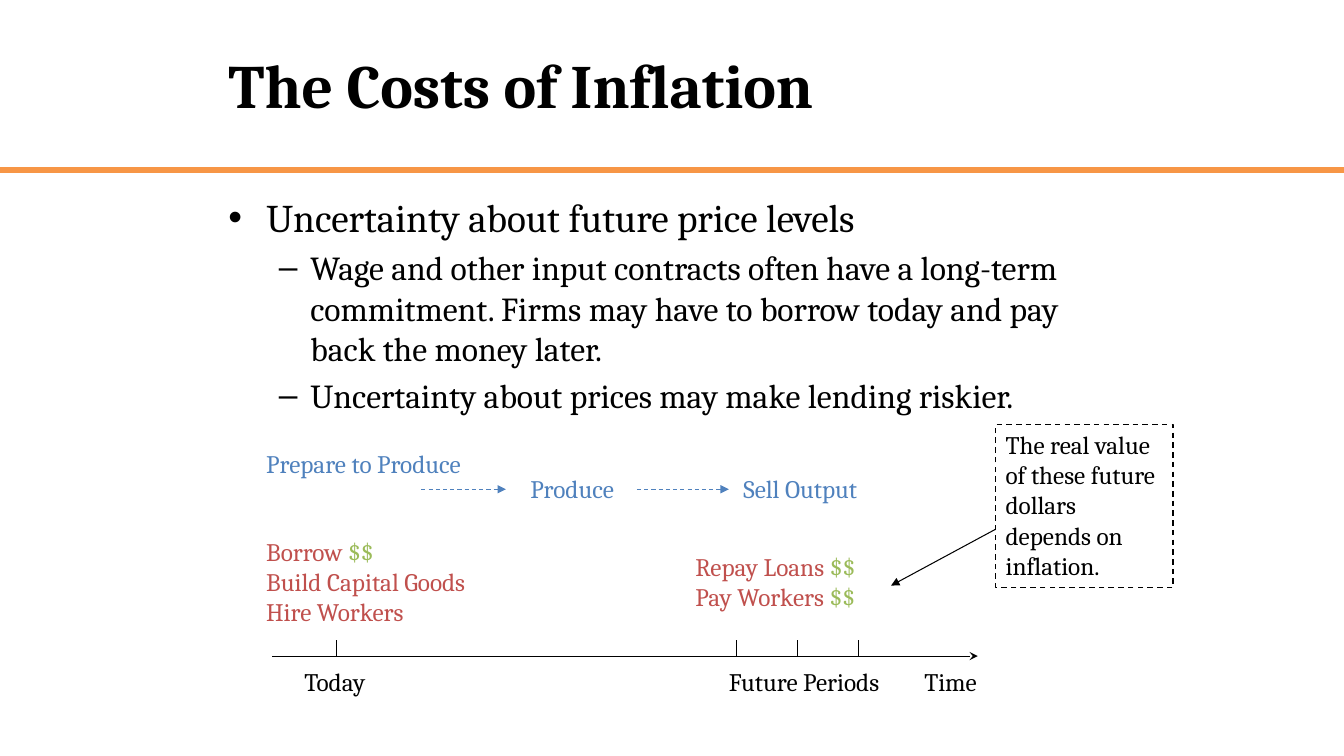
from dataclasses import dataclass

from lxml import etree
from pptx import Presentation
from pptx import util as u
from pptx.dml import color
from pptx.enum import dml, shapes, text
from pptx.oxml import ns

FONT = "Cambria"
BLACK, WHITE, ORANGE = "000000", "FFFFFF", "F79646"
BLUE, RED, GREEN = "4F81BD", "C0504D", "9BBB59"
AXIS_Y = 468.6
TICK_TOP = 457.4


@dataclass
class Label:
    x: float
    y: float
    w: float
    h: float
    lines: list[list[tuple[str, str]]]
    boxed: bool = False


@dataclass
class Line:
    x1: float
    y1: float
    x2: float
    y2: float
    color: str = BLACK
    width: float = 0.75
    head: str = ""
    dashed: bool = False


def rgb(value: str) -> color.RGBColor:
    return color.RGBColor.from_string(value)


def set_all(obj, values: dict) -> None:
    for name, value in values.items():
        setattr(obj, name, value)


def add_run(p, words: str, size: float, hue: str = BLACK, bold: bool = False) -> None:
    r = p.add_run()
    r.text = words
    set_all(r.font, {"name": FONT, "size": u.Pt(size), "bold": bold})
    r.font.color.rgb = rgb(hue)


def place(sp, x: float, y: float, w: float, h: float) -> None:
    set_all(sp, {"left": u.Pt(x), "top": u.Pt(y), "width": u.Pt(w), "height": u.Pt(h)})


def draw_line(s, line: Line) -> None:
    ends = (u.Pt(v) for v in (line.x1, line.y1, line.x2, line.y2))
    sp = s.shapes.add_connector(shapes.MSO_CONNECTOR.STRAIGHT, *ends)
    sp.line.color.rgb = rgb(line.color)
    sp.line.width = u.Pt(line.width)
    if line.dashed:
        sp.line.dash_style = dml.MSO_LINE.DASH
    if line.head:
        ln = sp.line._get_or_add_ln()
        etree.SubElement(ln, ns.qn("a:tailEnd"), type=line.head)
    etree.SubElement(sp._element.spPr, ns.qn("a:effectLst"))


def draw_label(s, label: Label) -> None:
    box = (u.Pt(v) for v in (label.x, label.y, label.w, label.h))
    sp = s.shapes.add_shape(shapes.MSO_SHAPE.RECTANGLE, *box)
    sp.shadow.inherit = False
    sp.fill.solid()
    sp.fill.fore_color.rgb = rgb(WHITE)
    tf = sp.text_frame
    set_all(tf, {"word_wrap": True, "vertical_anchor": text.MSO_ANCHOR.TOP})
    if label.boxed:
        sp.line.color.rgb = rgb(BLACK)
        set_all(sp.line, {"width": u.Pt(1), "dash_style": dml.MSO_LINE.DASH})
    else:
        sp.line.fill.background()
        sides = ("left", "top", "right", "bottom")
        set_all(tf, {f"margin_{side}": u.Pt(0) for side in sides})
    for i, runs in enumerate(label.lines):
        p = tf.add_paragraph() if i else tf.paragraphs[0]
        p.alignment = text.PP_ALIGN.LEFT
        for words, hue in runs:
            add_run(p, words, 18, hue)


def fill_title(sp) -> None:
    place(sp, 156, 0, 648, 120)
    tf = sp.text_frame
    set_all(tf, {"auto_size": text.MSO_AUTO_SIZE.NONE,
                 "vertical_anchor": text.MSO_ANCHOR.MIDDLE})
    p = tf.paragraphs[0]
    p.alignment = text.PP_ALIGN.LEFT
    add_run(p, "The Costs of Inflation", 44, bold=True)


def fill_body(sp) -> None:
    place(sp, 156, 134.5, 648, 385)
    tf = sp.text_frame
    tf.auto_size = text.MSO_AUTO_SIZE.NONE
    for i, (level, size, words) in enumerate(POINTS):
        p = tf.add_paragraph() if i else tf.paragraphs[0]
        p.level = level
        add_run(p, words, size)


POINTS = [
    (0, 28, "Uncertainty about future price levels"),
    (1, 24, "Wage and other input contracts often have a long-term commitment. "
            "Firms may have to borrow today and pay back the money later."),
    (1, 24, "Uncertainty about prices may make lending riskier."),
]
LABELS = [
    Label(217.4, 476, 65.5, 19, [[("Today", BLACK)]]),
    Label(520.6, 476, 116, 22, [[("Future Periods", BLACK)]]),
    Label(660.2, 476, 51, 25, [[("Time", BLACK)]]),
    Label(190.2, 383, 188.5, 71.3, [[("Borrow ", RED), ("$$", GREEN)],
                                    [("Build Capital Goods", RED)],
                                    [("Hire Workers", RED)]]),
    Label(378.8, 338.4, 75.6, 23, [[("Produce", BLUE)]]),
    Label(531, 338.4, 93.6, 22.3, [[("Sell Output", BLUE)]]),
    Label(190.2, 320.4, 141.8, 22.3, [[("Prepare to Produce", BLUE)]]),
    Label(496.8, 393.8, 148.3, 47.5, [[("Repay Loans ", RED), ("$$", GREEN)],
                                      [("Pay Workers ", RED), ("$$", GREEN)]]),
    Label(711.2, 303.1, 126.7, 116.6,
          [[("The real value of these future dollars depends on inflation.", BLACK)]],
          boxed=True),
]
LINES = [
    Line(0, 121.5, 960, 121.5, ORANGE, 4.5),
    Line(194.4, AXIS_Y, 698.4, AXIS_Y, head="stealth"),
    *(Line(x, AXIS_Y, x, TICK_TOP) for x in (240.4, 526.2, 569.8, 613.4)),
    Line(301, 349.5, 361.4, 349.5, BLUE, head="triangle", dashed=True),
    Line(455, 349.5, 520.6, 349.5, BLUE, head="triangle", dashed=True),
    Line(711.2, 378, 636.5, 418.3, head="triangle"),
]


def main() -> None:
    prs = Presentation()
    set_all(prs, {"slide_width": u.Pt(960), "slide_height": u.Pt(540)})
    s = prs.slides.add_slide(prs.slide_layouts[1])
    fill_title(s.shapes.title)
    fill_body(s.placeholders[1])
    for label in LABELS:
        draw_label(s, label)
    for line in LINES:
        draw_line(s, line)
    prs.save("out.pptx")


if __name__ == "__main__":
    main()
